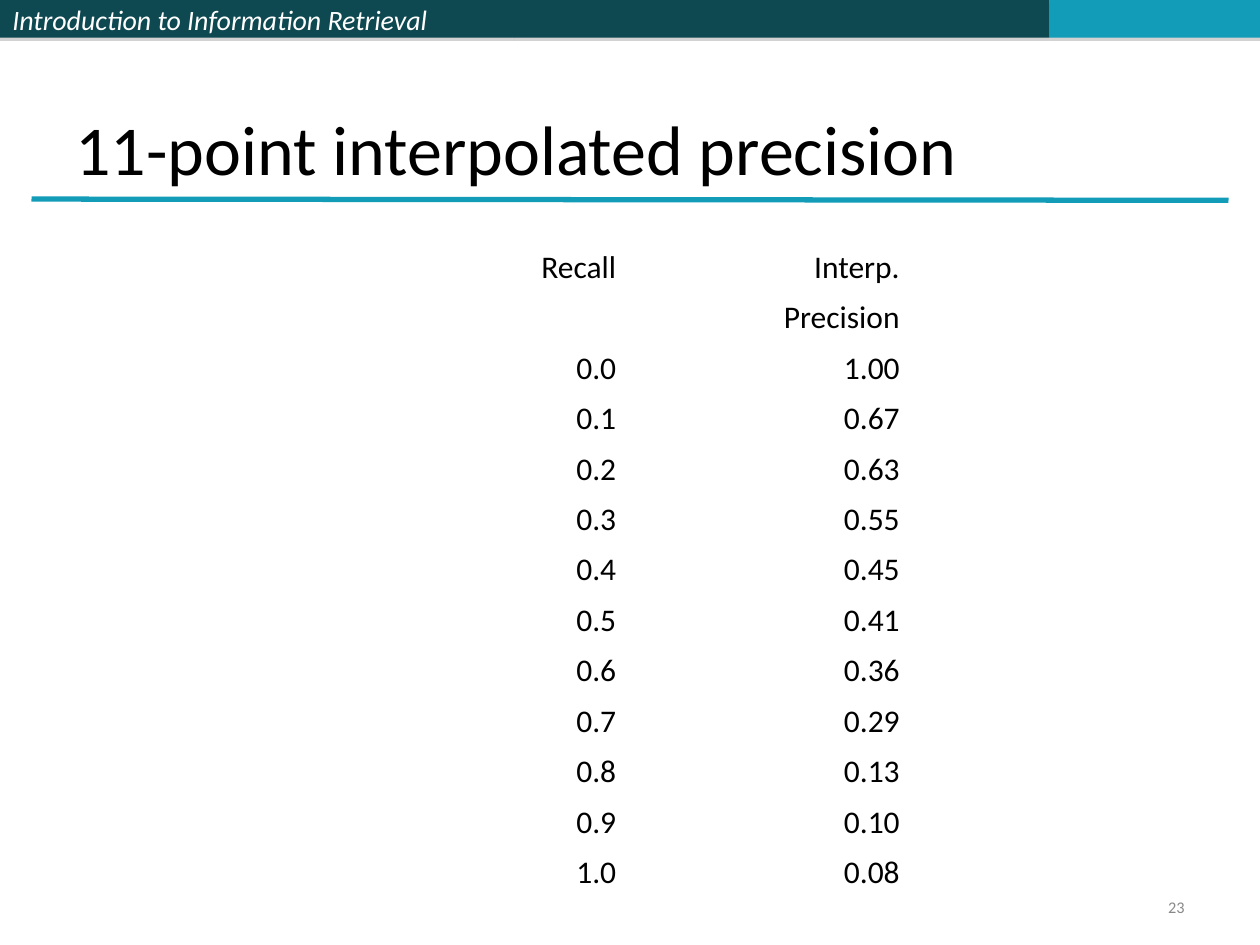
import pptx
import pptx.dml.color
import pptx.enum.shapes
import pptx.enum.text
import pptx.oxml
import pptx.oxml.ns
import pptx.util
from pptx.util import Inches

COLORS = {
    "dark": "0E4851",
    "teal": "139CB7",
    "shadow": "808080",
    "white": "FFFFFF",
    "black": "000000",
    "gray": "898989",
}
FONT = "Calibri"
PRECISIONS = ["1.00", "0.67", "0.63", "0.55", "0.45", "0.41",
              "0.36", "0.29", "0.13", "0.10", "0.08"]
ROWS = [("Recall", "Interp."), ("", "Precision")] + [
    (f"{step / 10:.1f}", precision) for step, precision in enumerate(PRECISIONS)
]


def rgb(name):
    """Return the named colour."""
    return pptx.dml.color.RGBColor.from_string(COLORS[name])


def write_text(text_frame, text, size, color, align="LEFT", anchor="MIDDLE", italic=False):
    """Fill a text frame with one formatted paragraph."""
    text_frame.word_wrap = True
    text_frame.vertical_anchor = pptx.enum.text.MSO_ANCHOR[anchor]
    paragraph = text_frame.paragraphs[0]
    paragraph.text = text
    paragraph.alignment = pptx.enum.text.PP_ALIGN[align]
    paragraph.font.name = FONT
    paragraph.font.size = pptx.util.Pt(size)
    paragraph.font.italic = italic
    paragraph.font.color.rgb = rgb(color)
    return paragraph


def add_drop_shadow(shape):
    """Give a shape a soft shadow straight below it."""
    shape.shadow.inherit = False
    effects = shape._element.spPr.find(pptx.oxml.ns.qn("a:effectLst"))
    effects.append(pptx.oxml.parse_xml(
        f'<a:outerShdw {pptx.oxml.ns.nsdecls("a")} blurRad="0" '
        f'dist="{pptx.util.Pt(1.8)}" dir="5400000" algn="ctr" rotWithShape="0">'
        f'<a:srgbClr val="{COLORS["shadow"]}"><a:alpha val="35000"/></a:srgbClr>'
        '</a:outerShdw>'
    ))


def add_header(slide, left, top, width, height):
    """Draw the three-part band with the course name."""
    edges = [0, 4.08, 8.33, width]
    for start, end, color in zip(edges, edges[1:], ["dark", "dark", "teal"]):
        band = slide.shapes.add_shape(
            pptx.enum.shapes.MSO_SHAPE.RECTANGLE,
            Inches(left + start), Inches(top), Inches(end - start), Inches(height),
        )
        band.fill.solid()
        band.fill.fore_color.rgb = rgb(color)
        band.line.fill.background()
        add_drop_shadow(band)
        if start == 0:
            write_text(band.text_frame, "Introduction to Information Retrieval",
                       16, "white", italic=True)


def add_title(slide, left, top, width, height):
    """Place the title and the rule beneath it."""
    box = slide.shapes.add_textbox(Inches(left), Inches(top), Inches(width), Inches(height))
    write_text(box.text_frame, "11-point interpolated precision", 40, "black", anchor="BOTTOM")
    rule_top = top + height + 0.03
    rule = slide.shapes.add_connector(
        pptx.enum.shapes.MSO_CONNECTOR.STRAIGHT,
        Inches(left - 0.25), Inches(rule_top),
        Inches(left + width + 0.25), Inches(rule_top + 0.01),
    )
    rule.line.color.rgb = rgb("teal")
    rule.line.width = pptx.util.Pt(3)
    pptx.oxml.ns.qn("a:effectLst")
    rule._element.spPr.append(
        pptx.oxml.parse_xml(f'<a:effectLst {pptx.oxml.ns.nsdecls("a")}/>'))


def add_precision_table(slide, left, top, width, height):
    """Tabulate interpolated precision at each recall level."""
    table = slide.shapes.add_table(
        len(ROWS), 2, Inches(left), Inches(top), Inches(width), Inches(height)).table
    table.first_row = False
    table.horz_banding = False
    for row_index, values in enumerate(ROWS):
        for column_index, value in enumerate(values):
            cell = table.cell(row_index, column_index)
            cell.fill.background()
            cell.margin_left = cell.margin_right = Inches(0.03)
            cell.vertical_anchor = pptx.enum.text.MSO_ANCHOR.MIDDLE
            write_text(cell.text_frame, value, 18, "black", align="RIGHT")


def add_slide_number(slide, left, top, width, height):
    """Place the slide number."""
    box = slide.shapes.add_textbox(Inches(left), Inches(top), Inches(width), Inches(height))
    paragraph = write_text(box.text_frame, "23", 9.3, "gray", align="RIGHT")
    paragraph.line_spacing = 0.8


def main():
    """Build and save the presentation."""
    presentation = pptx.Presentation()
    presentation.slide_width = Inches(10)
    presentation.slide_height = Inches(7.5)
    slide = presentation.slides.add_slide(presentation.slide_layouts[6])
    add_header(slide, 0, 0, 10, 0.3)
    add_title(slide, 0.5, 0.3, 9, 1.25)
    add_precision_table(slide, 2.67, 1.92, 4.5, 4.71)
    add_slide_number(slide, 7.17, 7.08, 2.33, 0.27)
    presentation.save("out.pptx")


if __name__ == "__main__":
    main()
